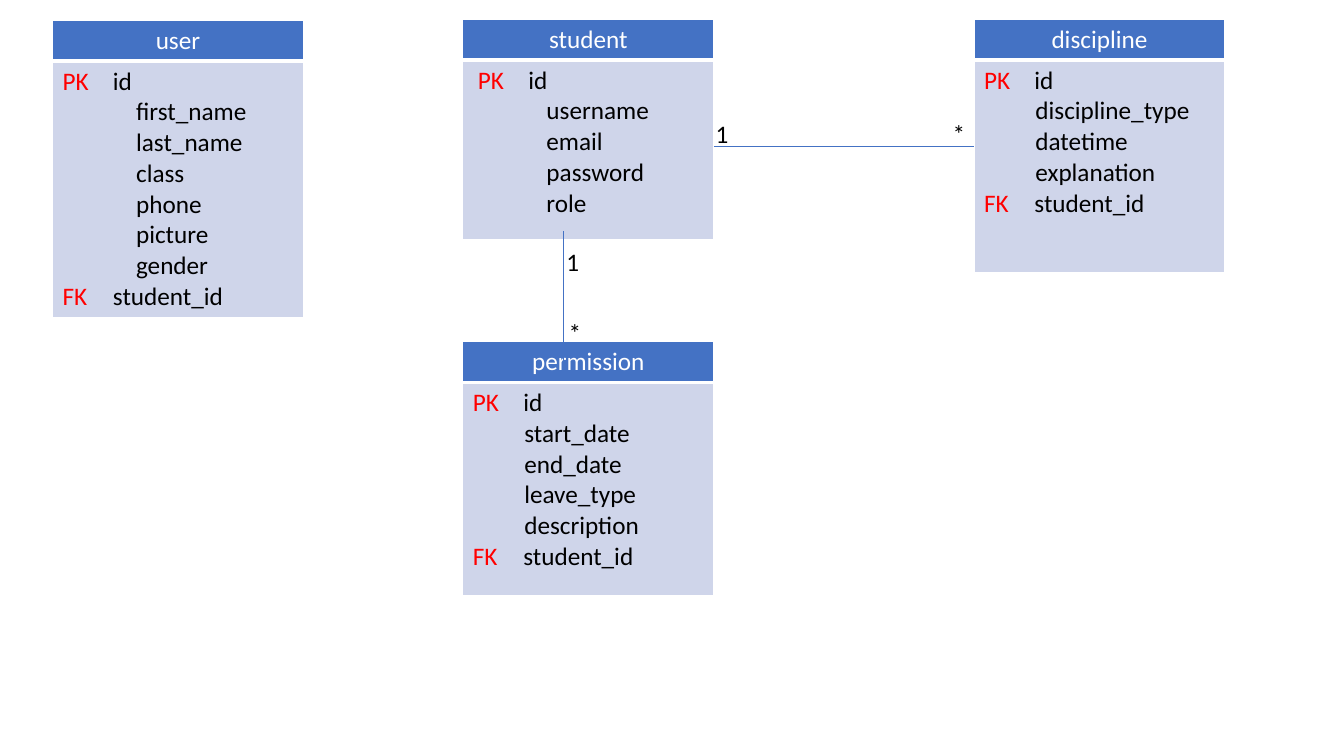
from lxml import etree
from pptx import Presentation
from pptx.dml.color import RGBColor
from pptx.enum.shapes import MSO_CONNECTOR
from pptx.enum.text import MSO_AUTO_SIZE, PP_ALIGN
from pptx.oxml.ns import qn
from pptx.util import Inches, Pt

STRAIGHT = MSO_CONNECTOR.STRAIGHT
CENTER = PP_ALIGN.CENTER
FIT_SHAPE = MSO_AUTO_SIZE.SHAPE_TO_FIT_TEXT

COLORS = {
    "header": "4472C4",
    "body": "CFD5EA",
    "border": "FFFFFF",
    "title": "FFFFFF",
    "key": "FF0000",
    "field": "000000",
    "relation": "4472C4",
}
FONT = {"name": "Calibri", "size": Pt(18), "bold": False}
ENTITY_WIDTH = 2.49
HEADER_HEIGHT = 0.4

ENTITIES = [
    {
        "name": "student", "at": (4.59, 0.19), "body_height": 1.78,
        "key_inset": 0.05, "stops": {"PK": 0.71}, "field_indent": 0.73,
        "fields": ["PK id", "username", "email", "password", "role"],
    },
    {
        "name": "user", "at": (0.52, 0.2), "body_height": 2.54,
        "key_inset": 0, "stops": {"PK": 0.77, "FK": 0.7}, "field_indent": 0.73,
        "fields": ["PK id", "first_name", "last_name", "class", "phone",
                   "picture", "gender", "FK student_id"],
    },
    {
        "name": "permission", "at": (4.59, 3.39), "body_height": 2.11,
        "key_inset": 0, "stops": {"PK": 0.54, "FK": 0.53}, "field_indent": 0.51,
        "fields": ["PK id", "start_date", "end_date", "leave_type",
                   "description", "FK student_id"],
    },
    {
        "name": "discipline", "at": (9.66, 0.19), "body_height": 2.11,
        "key_inset": 0, "stops": {"PK": 0.54, "FK": 0.53}, "field_indent": 0.51,
        "fields": ["PK id", "discipline_type", "datetime", "explanation",
                   "FK student_id"],
    },
]
RELATIONS = [((5.59, 2.29), (5.59, 3.61)), ((7.08, 1.45), (9.66, 1.45))]
CARDINALITIES = [("*", 5.54, 3.1), ("1", 5.52, 2.39),
                 ("1", 7, 1.12), ("*", 9.35, 1.12)]


def rgb(role):
    return RGBColor.from_string(COLORS[role])


def add_run(paragraph, text, role):
    run = paragraph.add_run()
    run.text = text
    for attribute, value in FONT.items():
        setattr(run.font, attribute, value)
    run.font.color.rgb = rgb(role)


def set_indent(paragraph, indent, stop=None):
    properties = paragraph._p.get_or_add_pPr()
    properties.set("marL", str(Inches(indent)))
    properties.set("indent", "0")
    if stop is not None:
        tabs = etree.SubElement(properties, qn("a:tabLst"))
        etree.SubElement(tabs, qn("a:tab"), pos=str(Inches(stop)), algn="l")


def style_cell(cell, role, bottom_width):
    cell.fill.solid()
    cell.fill.fore_color.rgb = rgb(role)
    properties = cell._tc.get_or_add_tcPr()
    widths = {"a:lnL": 1, "a:lnR": 1, "a:lnT": 1, "a:lnB": bottom_width}
    for position, (side, width) in enumerate(widths.items()):
        border = etree.Element(qn(side), w=str(Pt(width)))
        fill = etree.SubElement(border, qn("a:solidFill"))
        etree.SubElement(fill, qn("a:srgbClr"), val=COLORS["border"])
        properties.insert(position, border)


def write_field(paragraph, field, entity):
    key, _, name = field.rpartition(" ")
    if key:
        set_indent(paragraph, entity["key_inset"], entity["stops"][key])
        add_run(paragraph, key, "key")
        add_run(paragraph, "\t" + name, "field")
    else:
        set_indent(paragraph, entity["field_indent"])
        add_run(paragraph, name, "field")


def add_entity(slide, entity):
    left, top = entity["at"]
    heights = (HEADER_HEIGHT, entity["body_height"])
    table = slide.shapes.add_table(
        2, 1, Inches(left), Inches(top),
        Inches(ENTITY_WIDTH), Inches(sum(heights))).table
    table.first_row = False
    table.horz_banding = False
    for row, height in zip(table.rows, heights):
        row.height = Inches(height)

    header, body = table.cell(0, 0), table.cell(1, 0)
    style_cell(header, "header", 3)
    style_cell(body, "body", 1)
    title = header.text_frame.paragraphs[0]
    title.alignment = CENTER
    add_run(title, entity["name"], "title")

    frame = body.text_frame
    for index, field in enumerate(entity["fields"]):
        paragraph = frame.add_paragraph() if index else frame.paragraphs[0]
        write_field(paragraph, field, entity)


def add_relation(slide, start, end):
    points = [Inches(value) for value in start + end]
    relation = slide.shapes.add_connector(STRAIGHT, *points)
    relation.line.color.rgb = rgb("relation")
    relation.line.width = Pt(0.5)
    etree.SubElement(relation._element.spPr, qn("a:effectLst"))


def add_cardinality(slide, text, left, top):
    label = slide.shapes.add_textbox(
        Inches(left), Inches(top), Inches(0.32), Inches(0.4))
    frame = label.text_frame
    frame.word_wrap = True
    frame.auto_size = FIT_SHAPE
    add_run(frame.paragraphs[0], text, "field")


def main():
    deck = Presentation()
    deck.slide_width = Inches(13.33)
    deck.slide_height = Inches(7.5)
    slide = deck.slides.add_slide(deck.slide_layouts[6])
    for entity in ENTITIES:
        add_entity(slide, entity)
    for start, end in RELATIONS:
        add_relation(slide, start, end)
    for text, left, top in CARDINALITIES:
        add_cardinality(slide, text, left, top)
    deck.save("out.pptx")


if __name__ == "__main__":
    main()
